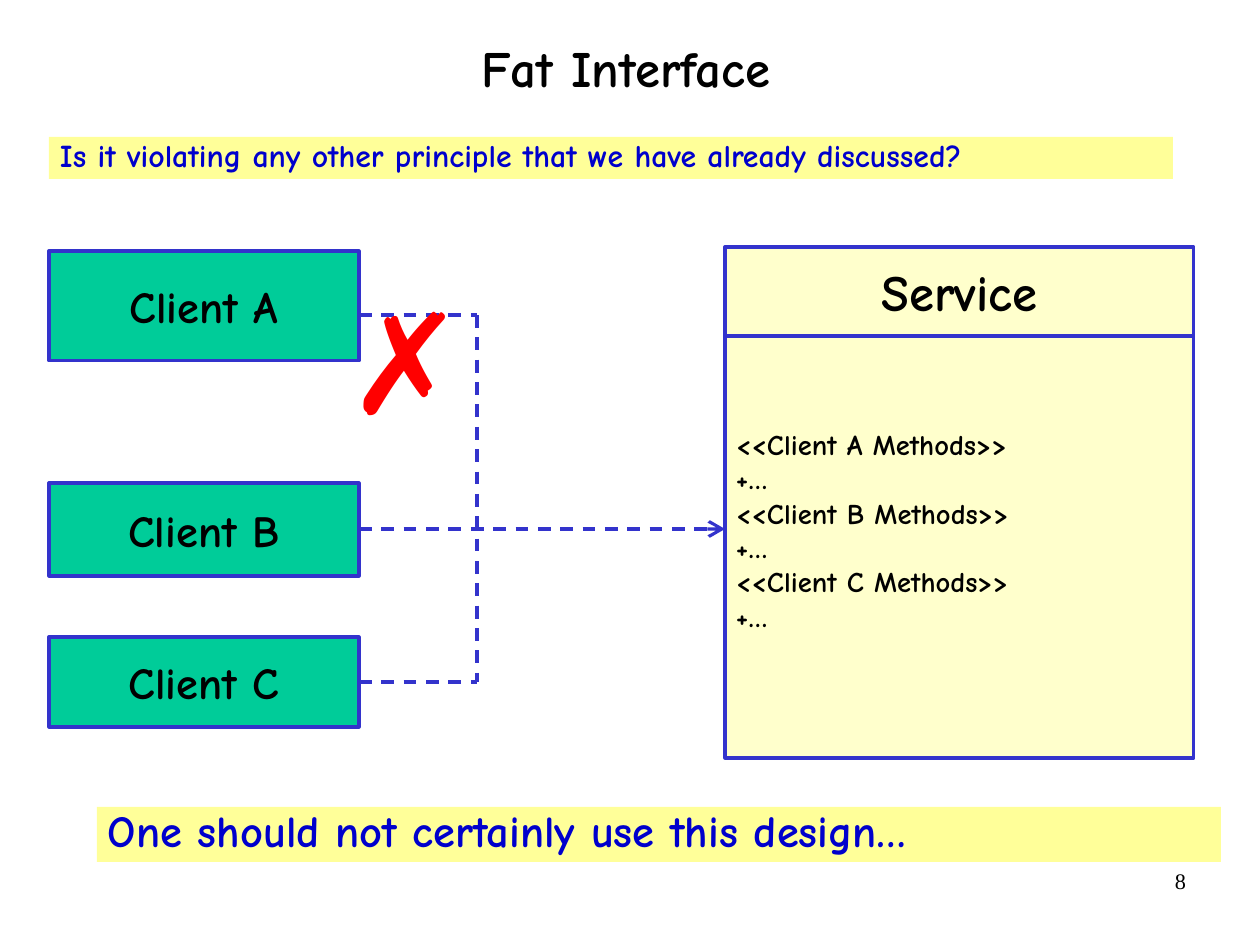
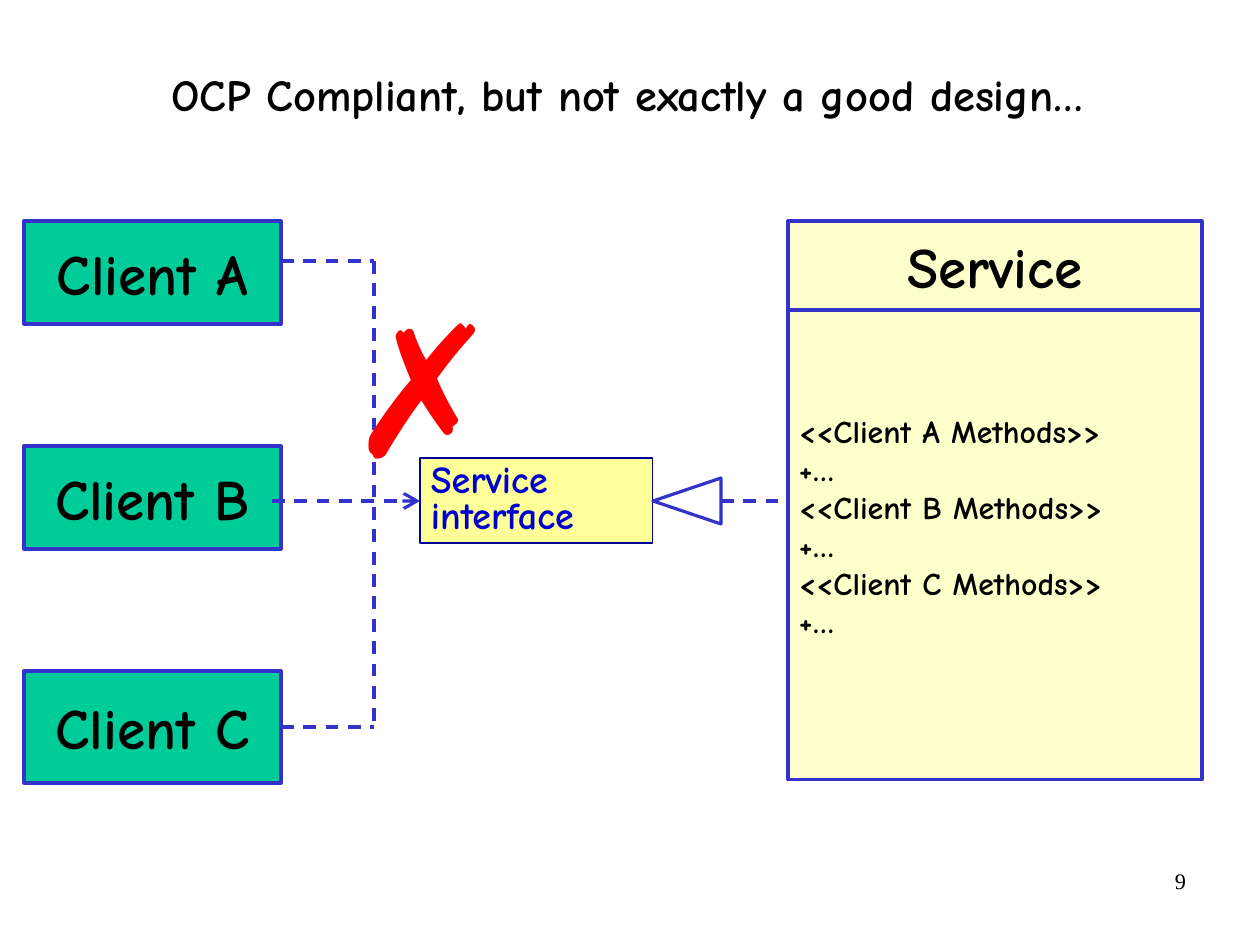
from dataclasses import dataclass
from typing import NamedTuple

from lxml.etree import SubElement
from pptx import Presentation
from pptx.dml.color import RGBColor
from pptx.enum.dml import MSO_LINE
from pptx.enum.shapes import MSO_CONNECTOR, MSO_SHAPE
from pptx.enum.text import MSO_ANCHOR, PP_ALIGN
from pptx.oxml.ns import qn
from pptx.util import Emu, Pt

EMU_PER_PX = 8000
SLIDE_WIDTH, SLIDE_HEIGHT = 1260, 945  # 28 by 21 cm


@dataclass(frozen=True)
class Theme:
    font: str = "Comic Neue"
    number_font: str = "Times New Roman"
    mark_font: str = "Arial"
    ink: str = "000000"
    accent: str = "0000CC"
    line: str = "3333CC"
    label_line: str = "000099"
    client: str = "00CC99"
    service: str = "FFFFCC"
    band: str = "FFFF99"
    paper: str = "FFFFFF"
    mark: str = "FF0000"
    number_size: int = 14
    line_width: float = 2
    label_line_width: float = 0.75
    title_spacing: float = 0.88
    band_spacing: float = 0.8


class Box(NamedTuple):
    left: int
    top: int
    width: int
    height: int


THEME = Theme()
NUMBER_BOX = Box(903, 861, 294, 65)
SERVICE_HEADER_HEIGHT = 89
CLIENT_NAMES = ("Client A", "Client B", "Client C")
SERVICE_METHODS = "\n".join(f"<<{name} Methods>>\n+…" for name in CLIENT_NAMES)


def px(length):
    return Emu(length * EMU_PER_PX)


def scaled(lengths):
    return [px(length) for length in lengths]


def color(value):
    return RGBColor.from_string(value)


def write(shape, text, size, ink=THEME.ink, font=THEME.font, bold=True,
          align=PP_ALIGN.LEFT, anchor=MSO_ANCHOR.TOP, spacing=None,
          insets=(11, 6, 11, 6)):
    """Fill a shape with text in one style; insets are left, top, right, bottom."""
    frame = shape.text_frame
    frame.text = text
    frame.word_wrap = True
    frame.vertical_anchor = anchor
    (frame.margin_left, frame.margin_top,
     frame.margin_right, frame.margin_bottom) = scaled(insets)
    for paragraph in frame.paragraphs:
        paragraph.alignment = align
        if spacing:
            paragraph.line_spacing = spacing
        for run in paragraph.runs:
            run.font.name = font
            run.font.size = Pt(size)
            run.font.bold = bold
            run.font.color.rgb = color(ink)


def add_box(slide, box, fill, line=THEME.line, line_width=THEME.line_width,
            preset=MSO_SHAPE.RECTANGLE):
    shape = slide.shapes.add_shape(preset, *scaled(box))
    shape.shadow.inherit = False
    shape.fill.solid()
    shape.fill.fore_color.rgb = color(fill)
    if line:
        shape.line.color.rgb = color(line)
        shape.line.width = Pt(line_width)
    else:
        shape.line.fill.background()
    return shape


def add_dashed_line(slide, start, end, arrow=False):
    connector = slide.shapes.add_connector(
        MSO_CONNECTOR.STRAIGHT, *scaled(start), *scaled(end))
    connector.line.color.rgb = color(THEME.line)
    connector.line.width = Pt(THEME.line_width)
    connector.line.dash_style = MSO_LINE.DASH
    properties = connector.element.spPr
    if arrow:
        SubElement(properties.find(qn("a:ln")), qn("a:tailEnd"),
                   type="arrow", w="lg", len="lg")
    SubElement(properties, qn("a:effectLst"))


def add_titled_slide(presentation, title, box, size, number):
    slide = presentation.slides.add_slide(presentation.slide_layouts[5])
    heading = slide.shapes.title
    heading.left, heading.top, heading.width, heading.height = scaled(box)
    write(heading, title, size, align=PP_ALIGN.CENTER, anchor=MSO_ANCHOR.MIDDLE,
          spacing=THEME.title_spacing, insets=(0, 0, 0, 0))
    number_box = slide.shapes.add_textbox(*scaled(NUMBER_BOX))
    write(number_box, str(number), THEME.number_size, font=THEME.number_font,
          bold=False, align=PP_ALIGN.RIGHT)
    return slide


def draw_clients(slide, left, top, width, rows, size):
    """Stack the clients; each row is an offset from the top and a height."""
    for name, (offset, height) in zip(CLIENT_NAMES, rows):
        client = add_box(slide, Box(left, top + offset, width, height), THEME.client)
        write(client, name, size, align=PP_ALIGN.CENTER, anchor=MSO_ANCHOR.MIDDLE)


def draw_service(slide, box, title_size, method_size):
    header_box = box._replace(height=SERVICE_HEADER_HEIGHT)
    body_box = box._replace(top=box.top + SERVICE_HEADER_HEIGHT,
                            height=box.height - SERVICE_HEADER_HEIGHT)
    # The methods sit half a line above the middle of the body.
    line_height = round(Pt(method_size) * 1.2 / EMU_PER_PX)
    body = add_box(slide, body_box, THEME.service)
    write(body, SERVICE_METHODS, method_size, anchor=MSO_ANCHOR.MIDDLE,
          insets=(11, 6, 11, 6 + line_height))
    header = add_box(slide, header_box, THEME.service)
    write(header, "Service", title_size, align=PP_ALIGN.CENTER,
          anchor=MSO_ANCHOR.MIDDLE)


def draw_bracket(slide, box):
    """Join the outer clients to one trunk on the right edge of the box."""
    right, bottom = box.left + box.width, box.top + box.height
    add_dashed_line(slide, (box.left, box.top), (right, box.top))
    add_dashed_line(slide, (right, box.top), (right, bottom))
    add_dashed_line(slide, (box.left, bottom), (right, bottom))


def draw_band(slide, box, text, size, **outline):
    band = add_box(slide, box, THEME.band, **outline)
    write(band, text, size, ink=THEME.accent, spacing=THEME.band_spacing)


def draw_realization(slide, tip, end, middle):
    """Point a hollow triangle left at the tip, with a dashed tail to the end."""
    length, breadth = 68, 46
    add_dashed_line(slide, (tip + length, middle), (end, middle))
    upright = Box(tip + (length - breadth) // 2, middle - length // 2, breadth, length)
    triangle = add_box(slide, upright, THEME.paper,
                       preset=MSO_SHAPE.ISOSCELES_TRIANGLE)
    triangle.rotation = 270


def draw_cross_mark(slide, box, size):
    mark = slide.shapes.add_textbox(*scaled(box))
    write(mark, "✗", size, ink=THEME.mark, font=THEME.mark_font)


def build_fat_interface(presentation):
    slide = add_titled_slide(presentation, "Fat Interface",
                             Box(89, -7, 1074, 157), 32, 8)
    draw_clients(slide, 49, 251, 310, [(0, 110), (232, 93), (386, 90)], 28)
    draw_service(slide, Box(725, 247, 469, 511), 32, 18)
    add_dashed_line(slide, (359, 529), (725, 529), arrow=True)
    draw_bracket(slide, Box(359, 315, 118, 367))
    draw_band(slide, Box(49, 137, 1124, 42),
              "Is it violating any other principle that we have already discussed?",
              20, line=None)
    draw_band(slide, Box(97, 807, 1124, 55),
              "One should not certainly use this design…", 28, line=None)
    draw_cross_mark(slide, Box(337, 269, 198, 179), 88)


def build_compliant_design(presentation):
    slide = add_titled_slide(presentation,
                             "OCP Compliant, but not exactly a good design…",
                             Box(21, 19, 1212, 157), 28, 9)
    draw_clients(slide, 24, 221, 257, [(0, 103), (225, 103), (450, 112)], 36)
    draw_service(slide, Box(788, 221, 414, 559), 36, 20)
    add_dashed_line(slide, (272, 501), (420, 501), arrow=True)
    draw_bracket(slide, Box(281, 261, 93, 466))
    draw_band(slide, Box(420, 458, 233, 85), "Service interface", 24,
              line=THEME.label_line, line_width=THEME.label_line_width)
    draw_realization(slide, 653, 788, 501)
    draw_cross_mark(slide, Box(337, 269, 198, 231), 115)


def main():
    presentation = Presentation()
    presentation.slide_width = px(SLIDE_WIDTH)
    presentation.slide_height = px(SLIDE_HEIGHT)
    build_fat_interface(presentation)
    build_compliant_design(presentation)
    presentation.save("out.pptx")


if __name__ == "__main__":
    main()
